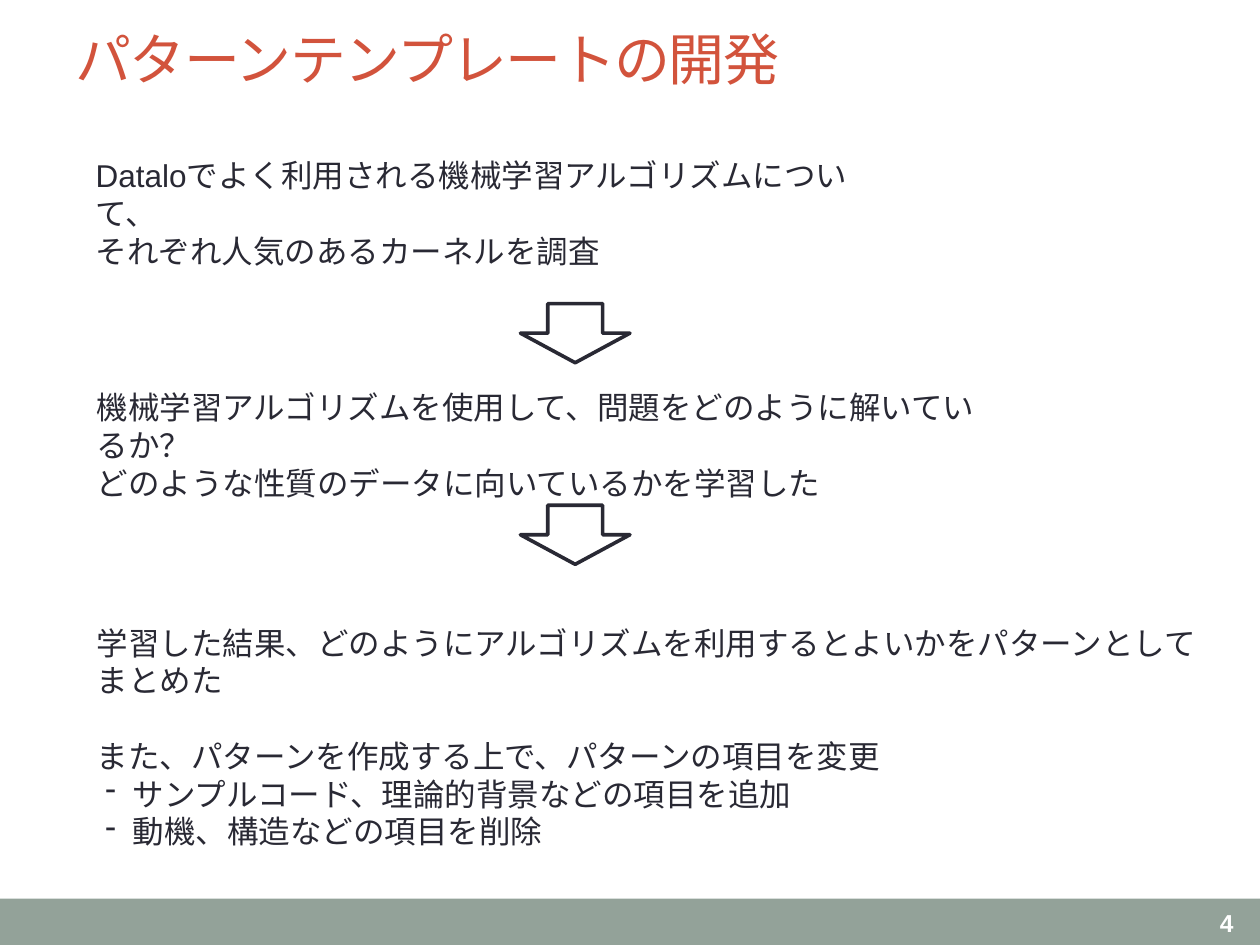
"""Build the slide on developing pattern templates as a three-step flow."""
import pptx
import pptx.dml.color
import pptx.enum.shapes
import pptx.enum.text
import pptx.oxml.ns
import pptx.util
from lxml import etree

Pt = pptx.util.Pt
RGBColor = pptx.dml.color.RGBColor
ANCHOR = pptx.enum.text.MSO_ANCHOR
ALIGN = pptx.enum.text.PP_ALIGN
SHAPE = pptx.enum.shapes.MSO_SHAPE

RED = RGBColor(0xD2, 0x53, 0x3C)
INK = RGBColor(0x29, 0x29, 0x34)
SAGE = RGBColor(0x93, 0xA2, 0x99)
WHITE = RGBColor(0xFF, 0xFF, 0xFF)
FONT = "Arial"
WIDTH, HEIGHT = 720, 540
BAR_TOP = 513.5
LINE_GAP = 21.5

TITLE = "パターンテンプレートの開発"
PAGE = "4"
STEPS = [
    ((47.5, 85.7, 450, 51), [
        ("Dataloでよく利用される機械学習アルゴリズムについて、", "plain"),
        ("それぞれ人気のあるカーネルを調査", "plain"),
    ]),
    ((48.2, 218.2, 533.5, 51), [
        ("機械学習アルゴリズムを使用して、問題をどのように解いているか？", "plain"),
        ("どのような性質のデータに向いているかを学習した", "plain"),
    ]),
    ((48.2, 352.8, 648.7, 116.6), [
        ("学習した結果、どのようにアルゴリズムを利用するとよいかをパターンとしてまとめた", "plain"),
        ("また、パターンを作成する上で、パターンの項目を変更", "spaced"),
        ("サンプルコード、理論的背景などの項目を追加", "dash"),
        ("動機、構造などの項目を削除", "dash"),
    ]),
]
ARROW_TOPS = [173.5, 288.7]
ARROW_LEFT, ARROW_WIDTH, ARROW_HEIGHT = 297.4, 62.6, 33.8


def write(paragraph, text, size, color, bold=False):
    run = paragraph.add_run()
    run.text = text
    run.font.name = FONT
    run.font.size = Pt(size)
    run.font.color.rgb = color
    run.font.bold = bold
    return run


def add_dash(paragraph):
    properties = paragraph._p.get_or_add_pPr()
    properties.set("marL", str(Pt(20.5)))
    properties.set("indent", str(Pt(-15.5)))
    etree.SubElement(properties, pptx.oxml.ns.qn("a:buChar"), char="-")


def add_block(slide, box):
    frame = slide.shapes.add_textbox(*map(Pt, box)).text_frame
    frame.word_wrap = True
    return frame


def add_shape(slide, kind, box, fill):
    shape = slide.shapes.add_shape(kind, *map(Pt, box))
    shape.shadow.inherit = False
    shape.fill.solid()
    shape.fill.fore_color.rgb = fill
    return shape


def add_title(slide):
    title = slide.shapes.title
    title.left, title.top, title.width, title.height = map(Pt, (36, 9.4, 648, 47.5))
    frame = title.text_frame
    frame.vertical_anchor = ANCHOR.MIDDLE
    heading = frame.paragraphs[0]
    heading.alignment = ALIGN.LEFT
    run = write(heading, TITLE, 32, RED)
    run._r.get_or_add_rPr().set("spc", "-100")


def add_step(slide, box, lines):
    frame = add_block(slide, box)
    for index, (text, style) in enumerate(lines):
        paragraph = frame.add_paragraph() if index else frame.paragraphs[0]
        if style == "spaced":
            paragraph.space_before = Pt(LINE_GAP)
        elif style == "dash":
            add_dash(paragraph)
        write(paragraph, text, 18, INK)


def main():
    deck = pptx.Presentation()
    deck.slide_width, deck.slide_height = Pt(WIDTH), Pt(HEIGHT)
    slide = deck.slides.add_slide(deck.slide_layouts[5])

    footer = add_shape(slide, SHAPE.RECTANGLE, (0, BAR_TOP, WIDTH, HEIGHT - BAR_TOP), SAGE)
    footer.line.fill.background()
    add_title(slide)

    page_frame = add_block(slide, (627.8, 514.8, 84.2, 25.2))
    page_frame.vertical_anchor = ANCHOR.MIDDLE
    page_frame.paragraphs[0].alignment = ALIGN.RIGHT
    write(page_frame.paragraphs[0], PAGE, 14, WHITE, bold=True)

    for box, lines in STEPS:
        add_step(slide, box, lines)
    for top in ARROW_TOPS:
        arrow = add_shape(slide, SHAPE.DOWN_ARROW,
                          (ARROW_LEFT, top, ARROW_WIDTH, ARROW_HEIGHT), WHITE)
        arrow.line.color.rgb = INK
        arrow.line.width = Pt(2.08)

    deck.save("out.pptx")


if __name__ == "__main__":
    main()
